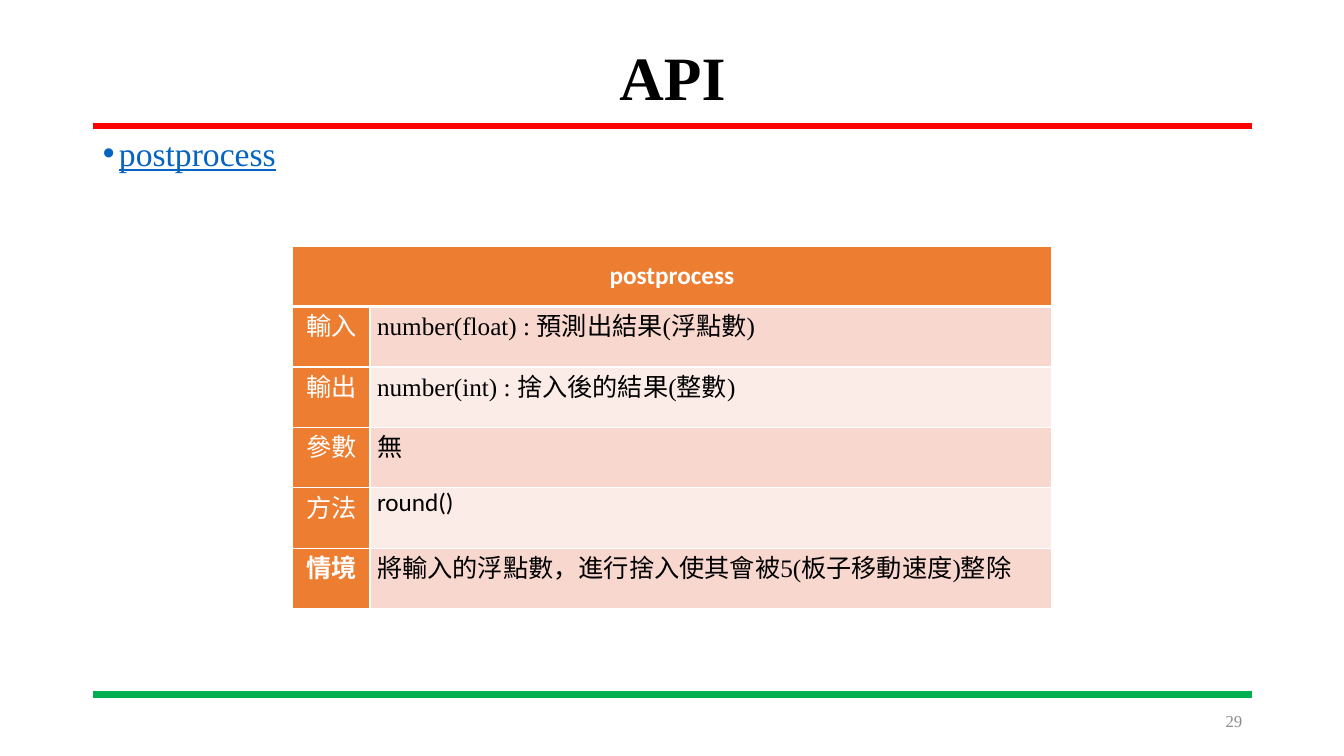
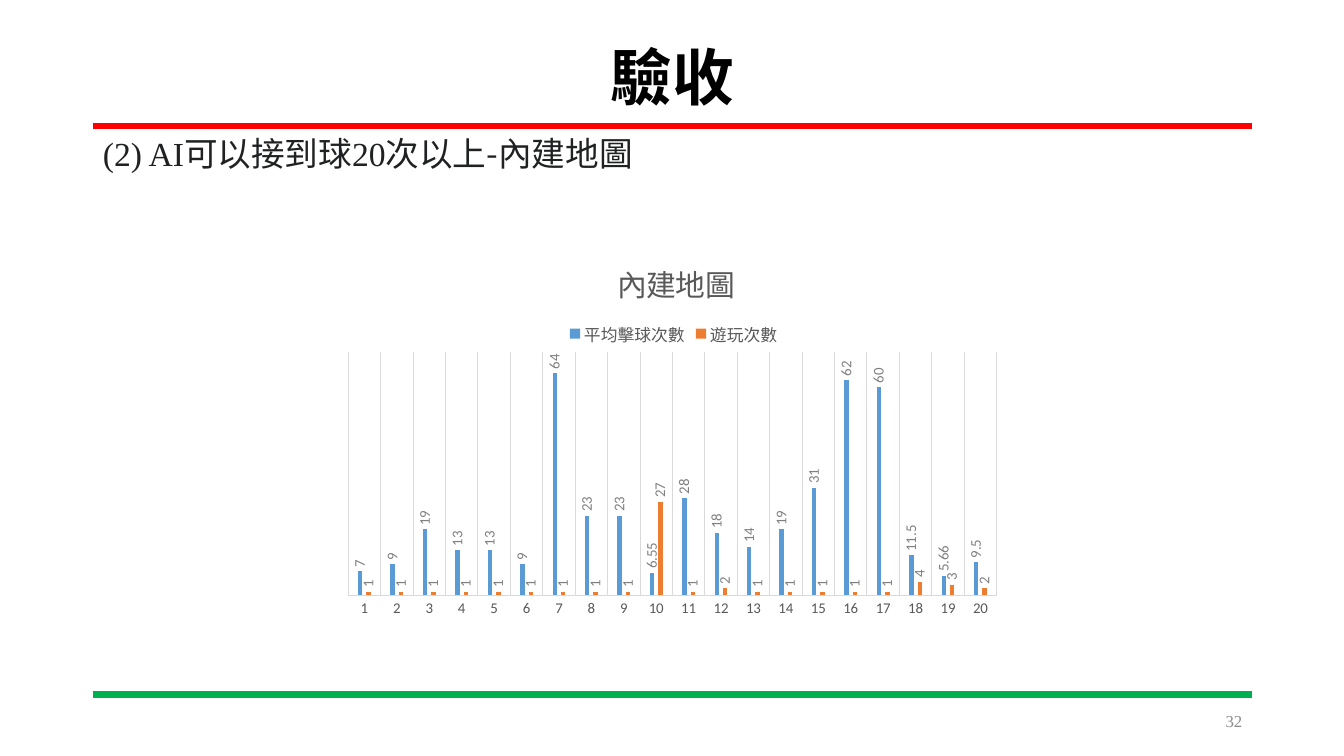
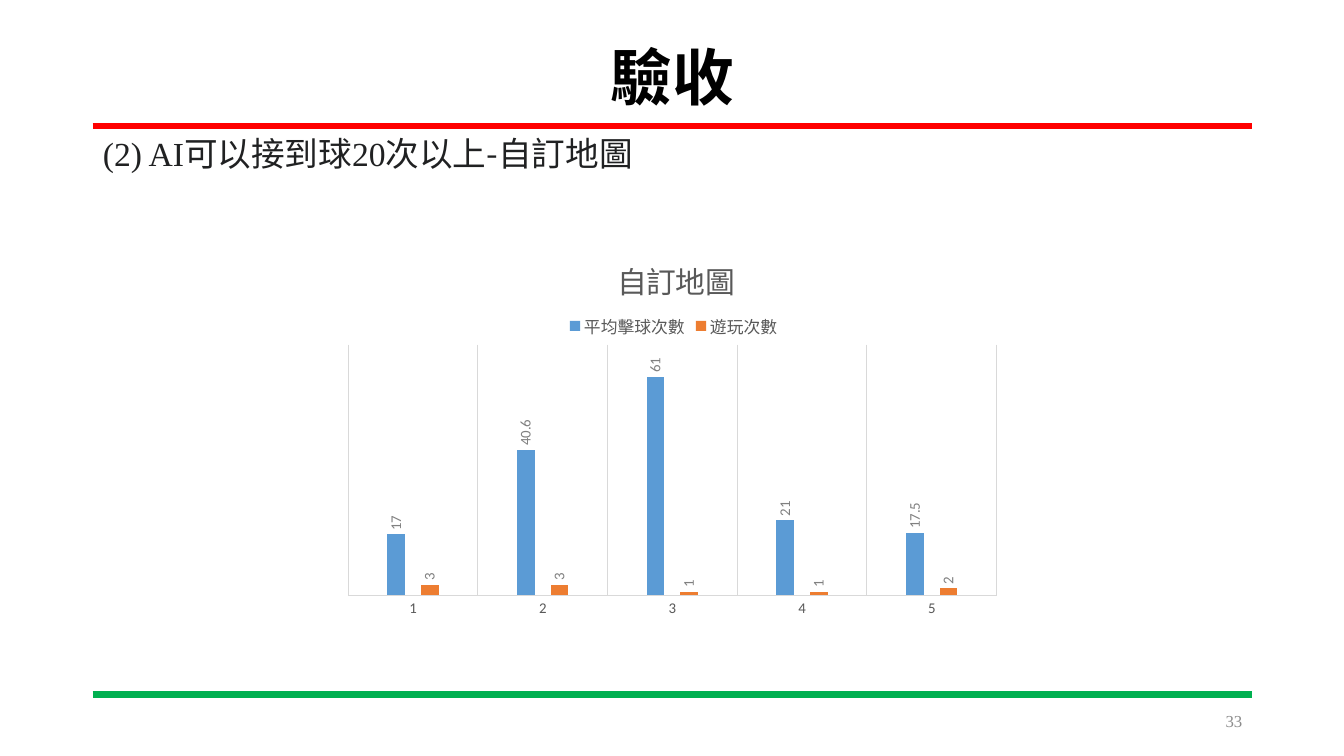
"""Build three slides: one API table and two acceptance test charts."""
from dataclasses import dataclass
from typing import Any

from lxml.etree import SubElement
from pptx import Presentation
from pptx.chart.data import CategoryChartData
from pptx.dml.color import RGBColor
from pptx.enum.chart import XL_CHART_TYPE, XL_LABEL_POSITION, XL_LEGEND_POSITION, XL_TICK_MARK
from pptx.enum.shapes import MSO_CONNECTOR
from pptx.enum.text import MSO_ANCHOR, MSO_AUTO_SIZE, PP_ALIGN
from pptx.oxml.ns import qn
from pptx.util import Pt

PX = 9144

BLACK = RGBColor(0x00, 0x00, 0x00)
WHITE = RGBColor(0xFF, 0xFF, 0xFF)
RED = RGBColor(0xFF, 0x00, 0x00)
GREEN = RGBColor(0x00, 0xB0, 0x50)
BLUE = RGBColor(0x5B, 0x9B, 0xD5)
ORANGE = RGBColor(0xED, 0x7D, 0x31)
PEACH = RGBColor(0xF8, 0xD7, 0xCE)
PALE = RGBColor(0xFC, 0xEC, 0xE8)
LINK = RGBColor(0x05, 0x63, 0xC1)
INK = RGBColor(0x20, 0x21, 0x22)
AXIS_GREY = RGBColor(0x59, 0x59, 0x59)
LABEL_GREY = RGBColor(0x80, 0x80, 0x80)
NUMBER_GREY = RGBColor(0x8C, 0x8C, 0x8C)
GRID_GREY = RGBColor(0xD9, 0xD9, 0xD9)

SERIF = "Times New Roman"
SANS = "Calibri"
CJK = "Noto Sans CJK SC"

TITLE = {"name": SERIF, "size": Pt(44), "bold": True, "color": BLACK}
BODY = {"name": SERIF, "size": Pt(24), "color": INK}
BODY_CJK = BODY | {"name": CJK}
BODY_LINK = BODY | {"color": LINK, "underline": True}
PAGE_NUMBER = {"name": SERIF, "size": Pt(12), "color": NUMBER_GREY}
HEADER = {"name": SANS, "size": Pt(18), "bold": True, "color": WHITE}
ROW_LABEL = HEADER | {"name": CJK, "bold": False}
ROW_TEXT = {"name": SERIF, "size": Pt(18), "bold": False, "color": BLACK}
CHART_TITLE = {"name": CJK, "size": Pt(21.3), "bold": False, "color": AXIS_GREY}
CHART_AXIS = {"name": SANS, "size": Pt(10.6), "color": AXIS_GREY}
CHART_LABEL = CHART_AXIS | {"color": LABEL_GREY}
CHART_LEGEND = CHART_AXIS | {"size": Pt(12)}


@dataclass(frozen=True)
class Box:
    """A rectangle in px."""
    left: int
    top: int
    width: int
    height: int

    def emu(self) -> tuple[int, int, int, int]:
        """Return the rectangle in EMU."""
        return self.left * PX, self.top * PX, self.width * PX, self.height * PX


@dataclass(frozen=True)
class TextRun:
    """A piece of text with one format."""
    text: str
    style: dict[str, Any]


@dataclass(frozen=True)
class Rule:
    """A horizontal line across the page."""
    y: int
    color: RGBColor


@dataclass(frozen=True)
class ApiRow:
    """One labelled row of the API table."""
    label: str
    text: str
    font: str = SERIF
    bold_label: bool = False


@dataclass(frozen=True)
class MapResult:
    """Test results on one kind of map, with the chart's vertical layout."""
    page: int
    map_name: str
    hits: tuple[float, ...]
    plays: tuple[int, ...]
    title_y: float
    legend_y: float
    plot_y: float


TITLE_BOX = Box(92, 40, 1150, 79)
BODY_BOX = Box(92, 131, 1150, 551)
NUMBER_BOX = Box(942, 695, 300, 40)
TABLE_BOX = Box(290, 244, 753, 360)
CHART_BOX = Box(332, 229, 670, 389)
LABEL_WIDTH = 77
PLOT_BOTTOM = 0.93
RULES = (Rule(125, RED), Rule(689, GREEN))

API_ROWS = (
    ApiRow("輸入", "number(float) : 預測出結果(浮點數)"),
    ApiRow("輸出", "number(int) : 捨入後的結果(整數)"),
    ApiRow("參數", "無", CJK),
    ApiRow("方法", "round()", SANS),
    ApiRow("情境", "將輸入的浮點數，進行捨入使其會被5(板子移動速度)整除", bold_label=True),
)

RESULTS = (
    MapResult(
        32, "內建地圖",
        (7, 9, 19, 13, 13, 9, 64, 23, 23, 6.55, 28, 18, 14, 19, 31, 62, 60, 11.5, 5.66, 9.5),
        (1, 1, 1, 1, 1, 1, 1, 1, 1, 27, 1, 2, 1, 1, 1, 1, 1, 4, 3, 2),
        0.06, 0.22, 0.31,
    ),
    MapResult(33, "自訂地圖", (17, 40.6, 61, 21, 17.5), (3, 3, 1, 1, 2), 0.05, 0.2, 0.29),
)


def format_font(font: Any, style: dict[str, Any]) -> None:
    """Apply a dict of format values to a font."""
    for key, value in style.items():
        if key == "color":
            font.color.rgb = value
        else:
            setattr(font, key, value)


def add_run(p: Any, text: str, style: dict[str, Any]) -> None:
    """Add a formatted run with an East Asian font."""
    r = p.add_run()
    r.text = text
    format_font(r.font, style)
    SubElement(r.font._element, qn("a:ea"), typeface=CJK)


def place(shape: Any, box: Box) -> None:
    """Move a shape to a box."""
    for key, value in zip(("left", "top", "width", "height"), box.emu()):
        setattr(shape, key, value)


def set_up_layout(prs: Any) -> Any:
    """Place the title and body placeholders of the shared layout."""
    layout = prs.slide_layouts[1]
    for placeholder, box in zip(layout.placeholders, (TITLE_BOX, BODY_BOX)):
        place(placeholder, box)
    return layout


def add_rules(s: Any, layout: Any) -> None:
    """Draw the page rules and hand them over to the layout."""
    for rule in RULES:
        y = rule.y * PX
        line = s.shapes.add_connector(MSO_CONNECTOR.STRAIGHT, 92 * PX, y, 1242 * PX, y)
        line.line.color.rgb = rule.color
        line.line.width = Pt(4.5)
        SubElement(line._element.spPr, qn("a:effectLst"))
        layout.shapes._spTree.append(line._element)


def add_page(prs: Any, layout: Any, title: str, runs: list[TextRun], page: int,
             bullet: bool = False) -> Any:
    """Add a slide with title, body line and page number."""
    s = prs.slides.add_slide(layout)
    body = s.placeholders[1]
    for shape in (s.shapes.title, body):
        shape.text_frame.auto_size = MSO_AUTO_SIZE.NONE
    p = s.shapes.title.text_frame.paragraphs[0]
    p.alignment, p.line_spacing = PP_ALIGN.CENTER, 0.9
    add_run(p, title, TITLE)

    p = body.text_frame.paragraphs[0]
    p.line_spacing, p.space_before = 0.9, Pt(0)
    indent = 16 * PX if bullet else 0
    p_pr = p._p.get_or_add_pPr()
    p_pr.set("marL", str(indent))
    p_pr.set("indent", str(-indent))
    if bullet:
        SubElement(p_pr, qn("a:buChar"), char="•")
    else:
        SubElement(p_pr, qn("a:buNone"))
    for run in runs:
        add_run(p, run.text, run.style)

    tf = s.shapes.add_textbox(*NUMBER_BOX.emu()).text_frame
    tf.word_wrap = True
    tf.vertical_anchor = MSO_ANCHOR.MIDDLE
    p = tf.paragraphs[0]
    p.alignment = PP_ALIGN.RIGHT
    add_run(p, str(page), PAGE_NUMBER)
    return s


def format_cell(cell: Any, fill: RGBColor, top: int = 1, bottom: int = 1) -> None:
    """Set margins, white borders and fill of a cell."""
    cell.margin_left = cell.margin_right = 7 * PX
    cell.margin_top = cell.margin_bottom = 0
    tc_pr = cell._tc.get_or_add_tcPr()
    for side, width in {"L": 1, "R": 1, "T": top, "B": bottom}.items():
        ln = SubElement(tc_pr, qn(f"a:ln{side}"), w=str(Pt(width)))
        SubElement(SubElement(ln, qn("a:solidFill")), qn("a:srgbClr"), val=str(WHITE))
    cell.fill.solid()
    cell.fill.fore_color.rgb = fill


def add_api_table(s: Any, heading: str, rows: tuple[ApiRow, ...]) -> None:
    """Add the table that describes one function."""
    table = s.shapes.add_table(len(rows) + 1, 2, *TABLE_BOX.emu()).table
    table.first_row = table.horz_banding = False
    table.columns[0].width = LABEL_WIDTH * PX
    table.columns[1].width = (TABLE_BOX.width - LABEL_WIDTH) * PX
    header = table.cell(0, 0)
    header.merge(table.cell(0, 1))
    for column in range(2):
        format_cell(table.cell(0, column), ORANGE, bottom=3)
    header.vertical_anchor = MSO_ANCHOR.MIDDLE
    p = header.text_frame.paragraphs[0]
    p.alignment = PP_ALIGN.CENTER
    add_run(p, heading, HEADER)

    for i, row in enumerate(rows, start=1):
        label, text = table.cell(i, 0), table.cell(i, 1)
        top = 3 if i == 1 else 1
        format_cell(label, ORANGE, top)
        format_cell(text, PEACH if i % 2 else PALE, top)
        p = label.text_frame.paragraphs[0]
        p.alignment = PP_ALIGN.CENTER
        add_run(p, row.label, ROW_LABEL | {"bold": row.bold_label})
        add_run(text.text_frame.paragraphs[0], row.text, ROW_TEXT | {"name": row.font})


def set_layout(parent: Any, index: int, inner: bool = False, **fractions: float) -> None:
    """Give a chart part a manual layout in fractions of the chart."""
    for old in parent.findall(qn("c:layout")):
        parent.remove(old)
    layout = SubElement(parent, qn("c:layout"))
    parent.insert(index, layout)
    manual = SubElement(layout, qn("c:manualLayout"))
    if inner:
        SubElement(manual, qn("c:layoutTarget"), val="inner")
    for mode in ("xMode", "yMode"):
        SubElement(manual, qn(f"c:{mode}"), val="edge")
    for key, value in fractions.items():
        SubElement(manual, qn(f"c:{key}"), val=f"{value:.2f}")


def add_result_chart(s: Any, result: MapResult) -> None:
    """Add the column chart of one map's results."""
    data = CategoryChartData()
    data.categories = [str(i) for i in range(1, len(result.hits) + 1)]
    data.add_series("平均擊球次數", result.hits)
    data.add_series("遊玩次數", result.plays)
    chart = s.shapes.add_chart(XL_CHART_TYPE.COLUMN_CLUSTERED, *CHART_BOX.emu(), data).chart
    format_font(chart.font, {"name": SANS, "size": Pt(10), "color": BLACK})

    chart.has_title = True
    add_run(chart.chart_title.text_frame.paragraphs[0], result.map_name, CHART_TITLE)
    chart.has_legend = True
    chart.legend.position = XL_LEGEND_POSITION.TOP
    chart.legend.include_in_layout = False
    format_font(chart.legend.font, CHART_LEGEND)

    axis = chart.category_axis
    axis.major_tick_mark = axis.minor_tick_mark = XL_TICK_MARK.NONE
    axis.has_major_gridlines = True
    for line in (axis.format.line, axis.major_gridlines.format.line):
        line.color.rgb = GRID_GREY
        line.width = Pt(0.75)
    format_font(axis.tick_labels.font, CHART_AXIS)
    values = chart.value_axis
    values.minimum_scale, values.maximum_scale = 0, 70
    values.has_major_gridlines = False
    values.visible = False

    plot = chart.plots[0]
    plot.vary_by_categories = False
    plot.gap_width, plot.overlap = 444, -90
    for series, color in zip(plot.series, (BLUE, ORANGE)):
        series.invert_if_negative = False
        series.format.fill.solid()
        series.format.fill.fore_color.rgb = color
        labels = series.data_labels
        labels.show_value = True
        labels.position = XL_LABEL_POSITION.OUTSIDE_END
        format_font(labels.font, CHART_LABEL)
        body_pr = labels._element.find(f"{qn('c:txPr')}/{qn('a:bodyPr')}")
        body_pr.set("rot", "-5400000")
        body_pr.set("vert", "horz")

    set_layout(chart.chart_title._element, 1, x=0.41, y=result.title_y)
    set_layout(chart.legend._element, 1, x=0.34, y=result.legend_y)
    set_layout(chart._chartSpace.chart.plotArea, 0, inner=True, x=0.02, y=result.plot_y,
               w=0.96, h=PLOT_BOTTOM - result.plot_y)


def main() -> None:
    """Build and save the presentation."""
    prs = Presentation()
    prs.slide_width, prs.slide_height = 1333 * PX, 750 * PX
    layout = set_up_layout(prs)

    s = add_page(prs, layout, "API", [TextRun("postprocess", BODY_LINK)], 29, bullet=True)
    add_rules(s, layout)
    add_api_table(s, "postprocess", API_ROWS)

    for result in RESULTS:
        runs = [
            TextRun("(2) AI", BODY),
            TextRun("可以接到球", BODY_CJK),
            TextRun("20", BODY),
            TextRun(f"次以上-{result.map_name}", BODY_CJK),
        ]
        s = add_page(prs, layout, "驗收", runs, result.page)
        add_result_chart(s, result)

    prs.save("out.pptx")


if __name__ == "__main__":
    main()
